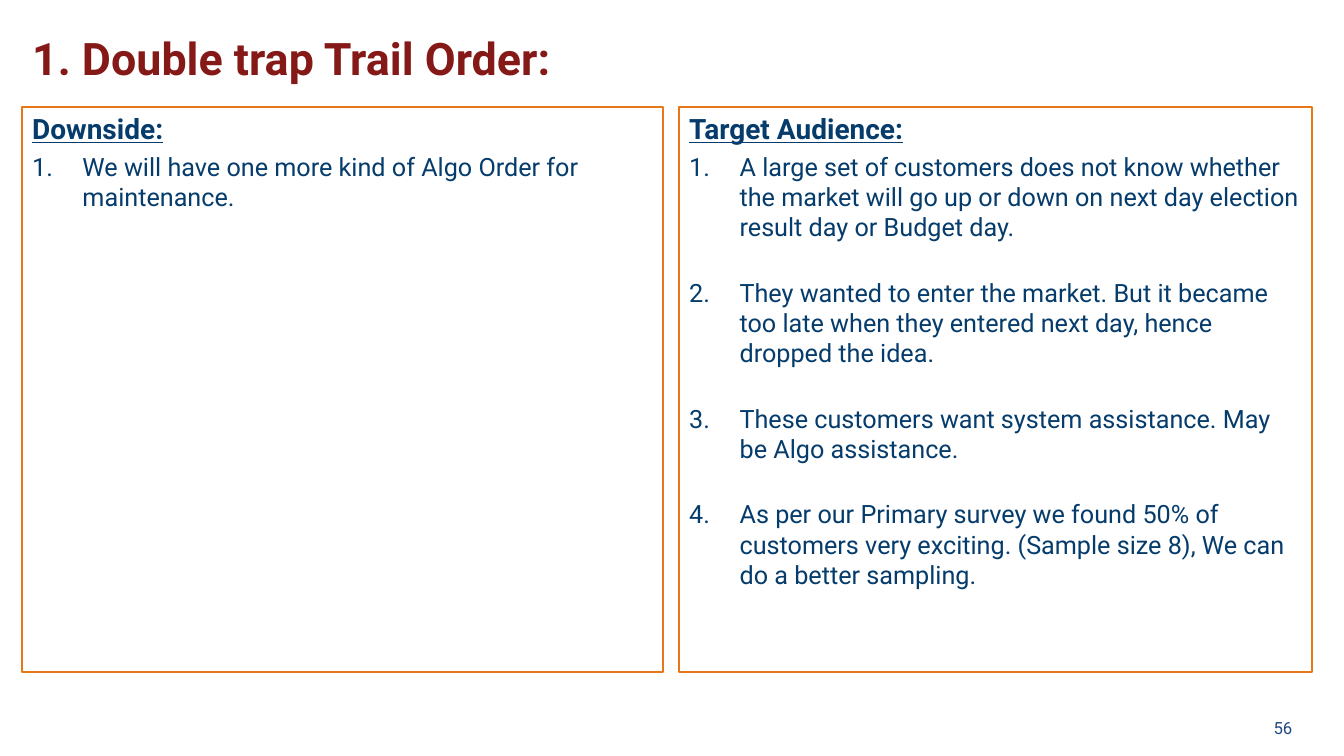
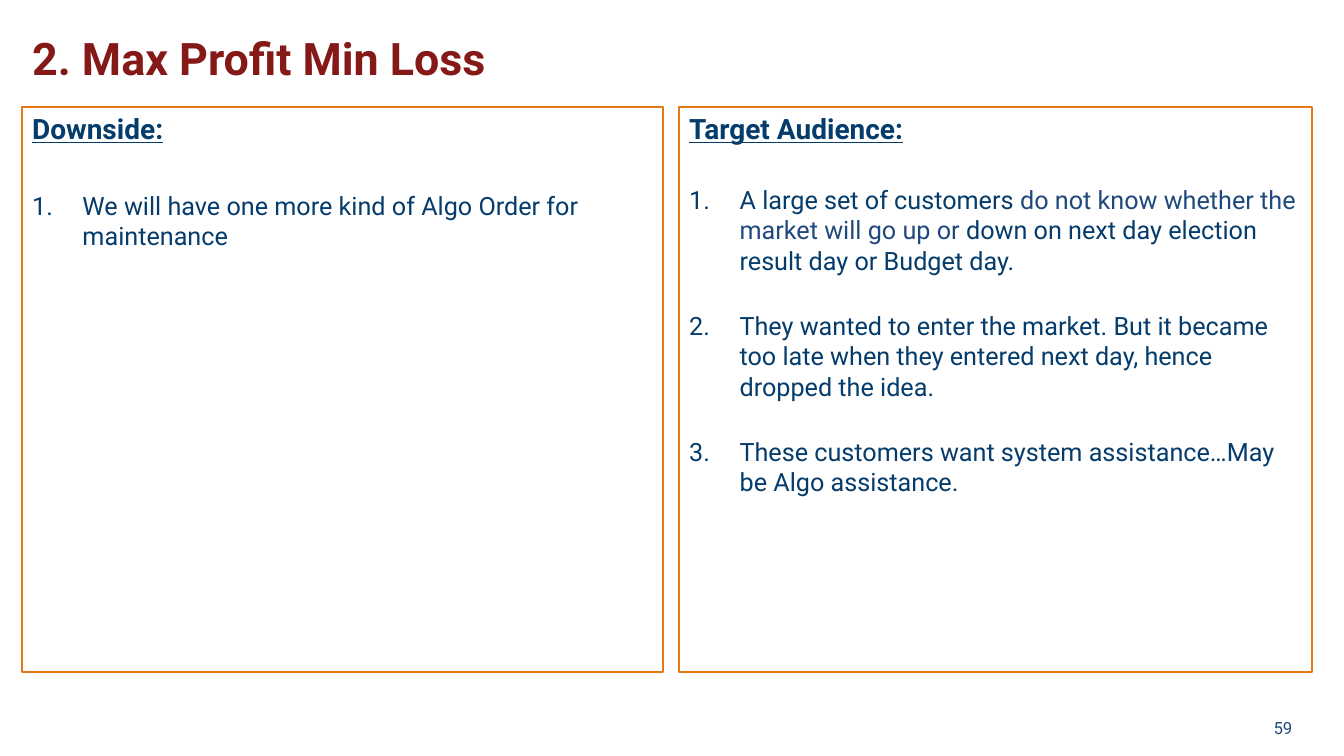
from dataclasses import dataclass

from lxml import etree
from pptx import Presentation
from pptx import util as u
from pptx.dml import color
from pptx.enum import shapes, text
from pptx.oxml import ns

MAROON = color.RGBColor(0x84, 0x19, 0x17)
NAVY = color.RGBColor(0x05, 0x3C, 0x6C)
BLUE = color.RGBColor(0x1F, 0x49, 0x7D)
ORANGE = color.RGBColor(0xE7, 0x78, 0x17)
FONT = "Roboto"

MARGIN = u.Cm(0.56)
PANEL_TOP = u.Cm(2.69)
PANEL_HEIGHT = u.Cm(14.25)
PANEL_COLUMNS = ((MARGIN, u.Cm(16.15)), (u.Cm(17.12), u.Cm(15.95)))
LIST_INDENT = u.Cm(1.27)
TIGHT_GAP = 4
LINE_GAP = 25.2


@dataclass(frozen=True)
class Span:
    content: str
    colour: color.RGBColor = NAVY


@dataclass(frozen=True)
class Panel:
    heading: str
    items: tuple[tuple[Span, ...], ...]
    first_gap: float = TIGHT_GAP


@dataclass(frozen=True)
class OrderSlide:
    title: str
    number: str
    panels: tuple[Panel, Panel]


LATE_ENTRY = (
    Span("They wanted to enter the market. But it became too late when they "
         "entered next day, hence dropped the idea."),
)

SLIDES = (
    OrderSlide("1. Double trap Trail Order:", "56", (
        Panel("Downside:", (
            (Span("We will have one more kind of Algo Order for maintenance."),),
        )),
        Panel("Target Audience:", (
            (Span("A large set of customers does not know whether the market will "
                  "go up or down on next day election result day or Budget day."),),
            LATE_ENTRY,
            (Span("These customers want system assistance. May be Algo assistance."),),
            (Span("As per our Primary survey we found 50% of customers very exciting. "
                  "(Sample size 8), We can do a better sampling."),),
        )),
    )),
    OrderSlide("2. Max Profit Min Loss", "59", (
        Panel("Downside:", (
            (Span("We will have one more kind of Algo Order for maintenance"),),
        ), 32),
        Panel("Target Audience:", (
            (Span("A large set of customers"),
             Span(" do not know whether the market will go up or ", BLUE),
             Span("down on next day election result day or Budget day.")),
            LATE_ENTRY,
            (Span("These customers want system assistance…May be Algo assistance."),),
        ), 28),
    )),
)


def add_run(paragraph, content: str, size: float, colour: color.RGBColor,
            bold: bool = False, underline: bool = False) -> None:
    run = paragraph.add_run()
    run.text = content
    run.font.name = FONT
    run.font.size = u.Pt(size)
    run.font.bold = bold
    run.font.underline = underline
    run.font.color.rgb = colour


def number_paragraph(paragraph) -> None:
    properties = paragraph._p.get_or_add_pPr()
    properties.set("marL", str(LIST_INDENT))
    properties.set("indent", str(-LIST_INDENT))
    etree.SubElement(properties, ns.qn("a:buAutoNum"), type="arabicPeriod")


def add_title(slide, title: str) -> None:
    box = slide.shapes.add_textbox(MARGIN, u.Cm(0.66), u.Cm(32.46), u.Cm(2.08))
    box.text_frame.word_wrap = True
    add_run(box.text_frame.paragraphs[0], title, 32, MAROON, bold=True)


def add_slide_number(slide, number: str) -> None:
    box = slide.shapes.add_textbox(u.Cm(31.12), u.Cm(17.83), u.Cm(1.7), u.Cm(1.02))
    frame = box.text_frame
    frame.word_wrap = True
    frame.vertical_anchor = text.MSO_ANCHOR.MIDDLE
    frame.paragraphs[0].alignment = text.PP_ALIGN.RIGHT
    add_run(frame.paragraphs[0], number, 12, BLUE)


def add_panel(slide, panel: Panel, left: int, width: int) -> None:
    shape = slide.shapes.add_shape(
        shapes.MSO_SHAPE.RECTANGLE, left, PANEL_TOP, width, PANEL_HEIGHT)
    shape.shadow.inherit = False
    shape.fill.background()
    shape.line.color.rgb = ORANGE
    shape.line.width = u.Pt(1.5)
    frame = shape.text_frame
    frame.word_wrap = True
    frame.vertical_anchor = text.MSO_ANCHOR.TOP
    heading = frame.paragraphs[0]
    heading.alignment = text.PP_ALIGN.LEFT
    add_run(heading, panel.heading, 20, NAVY, bold=True, underline=True)
    for index, spans in enumerate(panel.items):
        paragraph = frame.add_paragraph()
        number_paragraph(paragraph)
        paragraph.alignment = text.PP_ALIGN.LEFT
        paragraph.space_before = u.Pt(LINE_GAP if index else panel.first_gap)
        for span in spans:
            add_run(paragraph, span.content, 18, span.colour)


def main() -> None:
    presentation = Presentation()
    presentation.slide_width = u.Cm(33.87)
    presentation.slide_height = u.Cm(19.05)
    for content in SLIDES:
        slide = presentation.slides.add_slide(presentation.slide_layouts[6])
        add_title(slide, content.title)
        add_slide_number(slide, content.number)
        for panel, (left, width) in zip(content.panels, PANEL_COLUMNS):
            add_panel(slide, panel, left, width)
    presentation.save("out.pptx")


if __name__ == "__main__":
    main()
